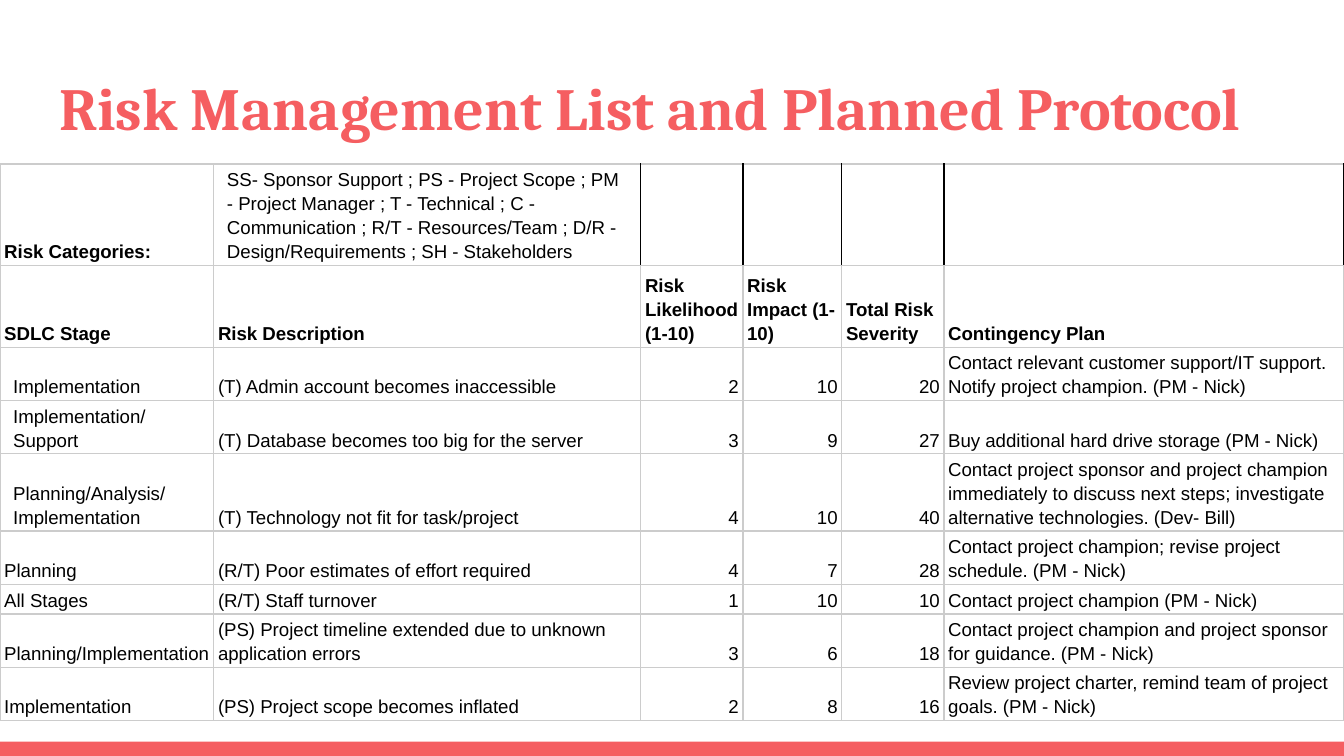
from lxml.etree import SubElement
from pptx import Presentation
from pptx.dml.color import RGBColor
from pptx.enum.shapes import MSO_SHAPE
from pptx.enum.text import MSO_ANCHOR, PP_ALIGN
from pptx.oxml.ns import qn
from pptx.util import Cm, Pt

COLORS = {"coral": "F55E61", "grid": "CCCCCC", "black": "000000", "white": "FFFFFF"}
COLUMN_WIDTHS = [4.04, 8.07, 1.93, 1.87, 1.93, 7.56]
ROW_HEIGHTS = [1.55, 1.55, 0.97, 0.56, 1.37, 0.97, 0.56, 0.97, 0.97]
NARROW, WIDE = 0.08, 0.25
INDENTED_CELLS = {(0, 1), (2, 0), (3, 0), (4, 0)}
FIRST_WHITE_ROW = 5

CATEGORIES = [
    "Risk Categories:",
    "SS- Sponsor Support ; PS - Project Scope ; PM - Project Manager ; T - Technical ; "
    "C - Communication ; R/T - Resources/Team ; D/R - Design/Requirements ; SH - Stakeholders",
    "", "", "", "",
]
HEADINGS = ["SDLC Stage", "Risk Description", "Risk Likelihood (1-10)",
            "Risk Impact (1-10)", "Total Risk Severity", "Contingency Plan"]
# stage, description, likelihood, impact, contingency plan
RISKS = [
    ("Implementation", "(T) Admin account becomes inaccessible", 2, 10,
     "Contact relevant customer support/IT support. Notify project champion. (PM - Nick)"),
    ("Implementation/Support", "(T) Database becomes too big for the server", 3, 9,
     "Buy additional hard drive storage (PM - Nick)"),
    ("Planning/Analysis/Implementation", "(T) Technology not fit for task/project", 4, 10,
     "Contact project sponsor and project champion immediately to discuss next steps; "
     "investigate alternative technologies. (Dev- Bill)"),
    ("Planning", "(R/T) Poor estimates of effort required", 4, 7,
     "Contact project champion; revise project schedule. (PM - Nick)"),
    ("All Stages", "(R/T) Staff turnover", 1, 10,
     "Contact project champion (PM - Nick)"),
    ("Planning/Implementation",
     "(PS) Project timeline extended due to unknown application errors", 3, 6,
     "Contact project champion and project sponsor for guidance. (PM - Nick)"),
    ("Implementation", "(PS) Project scope becomes inflated", 2, 8,
     "Review project charter, remind team of project goals. (PM - Nick)"),
]


def rgb(name):
    return RGBColor.from_string(COLORS[name])


class RiskSlide:
    """Holds the slide and the style shared by its elements."""

    title_font, body_font = "Cambria", "Arial"
    title_size, body_size = Pt(32), Pt(10)

    def __init__(self, slide):
        self.slide = slide

    def bar(self, left, top, width, height):
        footer = self.slide.shapes.add_shape(
            MSO_SHAPE.RECTANGLE, Cm(left), Cm(top), Cm(width), Cm(height))
        footer.shadow.inherit = False
        footer.fill.solid()
        footer.fill.fore_color.rgb = rgb("coral")
        footer.line.fill.background()

    def title(self, text, left, top, width, height):
        heading = self.slide.shapes.title
        heading.left, heading.top = Cm(left), Cm(top)
        heading.width, heading.height = Cm(width), Cm(height)
        frame = heading.text_frame
        frame.text = text
        frame.word_wrap = True
        frame.vertical_anchor = MSO_ANCHOR.TOP
        frame.margin_left = frame.margin_right = Cm(WIDE)
        frame.margin_top = frame.margin_bottom = Cm(WIDE)
        paragraph = frame.paragraphs[0]
        paragraph.alignment = PP_ALIGN.LEFT
        self.font(paragraph, self.title_font, self.title_size, "coral", True)

    def font(self, paragraph, name, size, color, bold):
        paragraph.font.name, paragraph.font.size = name, size
        paragraph.font.bold = bold
        paragraph.font.color.rgb = rgb(color)

    def table(self, rows, left, top):
        grid = self.slide.shapes.add_table(
            len(rows), len(COLUMN_WIDTHS), Cm(left), Cm(top),
            Cm(sum(COLUMN_WIDTHS)), Cm(sum(ROW_HEIGHTS))).table
        grid.first_row = grid.horz_banding = False
        for column, width in zip(grid.columns, COLUMN_WIDTHS):
            column.width = Cm(width)
        for row, height in zip(grid.rows, ROW_HEIGHTS):
            row.height = Cm(height)
        for r, values in enumerate(rows):
            for c, value in enumerate(values):
                self.cell(grid.cell(r, c), value, r, c)

    def cell(self, cell, value, r, c):
        cell.text = str(value)
        cell.vertical_anchor = MSO_ANCHOR.BOTTOM
        cell.margin_left = cell.margin_right = Cm(WIDE if (r, c) in INDENTED_CELLS else NARROW)
        cell.margin_top = cell.margin_bottom = Cm(0.05)
        paragraph = cell.text_frame.paragraphs[0]
        paragraph.line_spacing = 1.15
        paragraph.alignment = PP_ALIGN.RIGHT if isinstance(value, int) else PP_ALIGN.LEFT
        self.font(paragraph, self.body_font, self.body_size, "black", r == 1 or (r, c) == (0, 0))
        self.borders(cell,
                     left="black" if r == 0 and c > 1 else "grid",
                     right="black" if r == 0 and c > 0 else "grid")
        if c == 0 and r >= FIRST_WHITE_ROW:
            cell.fill.solid()
            cell.fill.fore_color.rgb = rgb("white")
        else:
            cell.fill.background()

    def borders(self, cell, left, right):
        properties = cell._tc.get_or_add_tcPr()
        sides = {"a:lnL": left, "a:lnR": right, "a:lnT": "grid", "a:lnB": "grid"}
        for tag, color in sides.items():
            line = SubElement(properties, qn(tag), w=str(Pt(0.75)))
            fill = SubElement(line, qn("a:solidFill"))
            SubElement(fill, qn("a:srgbClr"), val=COLORS[color])


def main():
    deck = Presentation()
    deck.slide_width, deck.slide_height = Cm(25.4), Cm(14.29)
    page = RiskSlide(deck.slides.add_slide(deck.slide_layouts[5]))
    page.bar(0, 14.02, 25.4, 0.27)
    page.title("Risk Management List and Planned Protocol", 0.87, 1.09, 23.67, 1.73)
    risk_rows = [(stage, description, likelihood, impact, likelihood * impact, plan)
                 for stage, description, likelihood, impact, plan in RISKS]
    page.table([CATEGORIES, HEADINGS, *risk_rows], 0, 3.1)
    deck.save("out.pptx")


if __name__ == "__main__":
    main()
